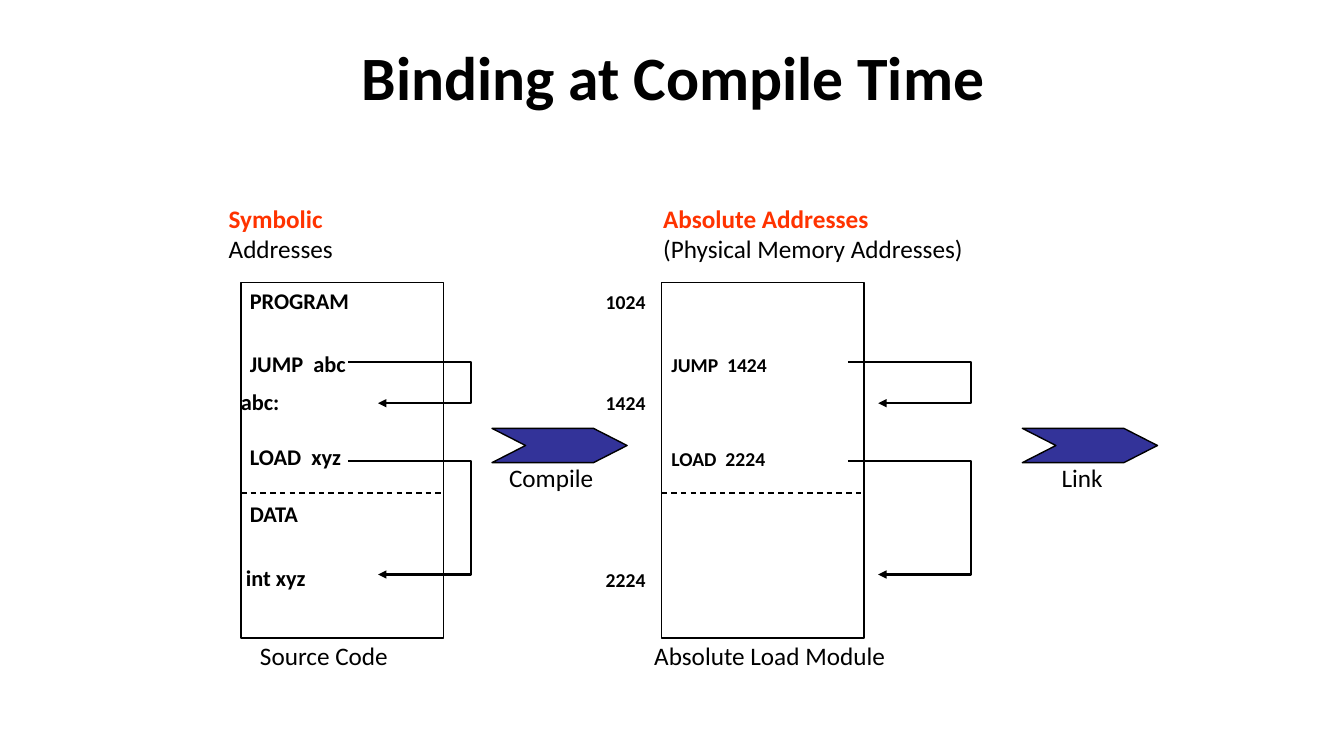
import pptx
import pptx.util
import pptx.dml.color
import pptx.enum.dml
import pptx.enum.shapes
import pptx.enum.text
import pptx.oxml.ns
import pptx.oxml.xmlchemy

Inches = pptx.util.Inches
Shape = pptx.enum.shapes.MSO_SHAPE
HUES = {"ink": "000000", "key": "FF3300", "step": "333399"}


class Board:
    """Holds the text style and the slide, and draws each kind of element."""

    font = "Calibri"

    def __init__(self, slide):
        self.slide = slide
        self.shapes = slide.shapes

    def hue(self, name):
        return pptx.dml.color.RGBColor.from_string(HUES[name])

    def run(self, para, text, size, bold=False, hue="ink"):
        run = para.add_run()
        run.text = text
        run.font.name = self.font
        run.font.size = pptx.util.Pt(size)
        run.font.bold = bold
        run.font.color.rgb = self.hue(hue)

    def title(self, text):
        box = self.shapes.title
        box.left, box.top = Inches(0.68), Inches(0.13)
        box.width, box.height = Inches(12), Inches(1.25)
        box.text_frame.vertical_anchor = pptx.enum.text.MSO_ANCHOR.MIDDLE
        para = box.text_frame.paragraphs[0]
        para.alignment = pptx.enum.text.PP_ALIGN.CENTER
        self.run(para, text, 44, True)

    def label(self, x, y, wide, text, size, bold=False, note=None):
        high = 0.71 if note else 0.09 + size * 0.017
        box = self.shapes.add_textbox(Inches(x), Inches(y), Inches(wide), Inches(high))
        frame = box.text_frame
        frame.word_wrap = False
        frame.auto_size = pptx.enum.text.MSO_AUTO_SIZE.SHAPE_TO_FIT_TEXT
        para = frame.paragraphs[0]
        self.run(para, text, size, bold, "key" if note else "ink")
        if note:
            para.add_line_break()
            self.run(para, note, size)

    def pen(self, item, width):
        item.line.color.rgb = self.hue("ink")
        item.line.width = pptx.util.Pt(width)

    def block(self, kind, x, y, wide, high, fill=None):
        item = self.shapes.add_shape(kind, Inches(x), Inches(y), Inches(wide), Inches(high))
        item.shadow.inherit = False
        if fill:
            item.fill.solid()
            item.fill.fore_color.rgb = self.hue(fill)
        else:
            item.fill.background()
        self.pen(item, 1)
        return item

    def dash(self, x, y, wide):
        line = self.shapes.add_connector(
            pptx.enum.shapes.MSO_CONNECTOR.STRAIGHT,
            Inches(x), Inches(y), Inches(x + wide), Inches(y))
        self.pen(line, 1)
        line.line.dash_style = pptx.enum.dml.MSO_LINE.DASH
        line._element.spPr.append(pptx.oxml.xmlchemy.OxmlElement("a:effectLst"))

    def hook(self, x, top, low):
        trace = self.shapes.build_freeform(Inches(x), Inches(top))
        turns = [(x + 1.22, top), (x + 1.22, low), (x + 0.3, low)]
        trace.add_line_segments([(Inches(a), Inches(b)) for a, b in turns], close=False)
        item = trace.convert_to_shape()
        item.shadow.inherit = False
        item.fill.background()
        self.pen(item, 1.5)
        tip = pptx.oxml.xmlchemy.OxmlElement("a:tailEnd")
        tip.set("type", "triangle")
        item._element.spPr.find(pptx.oxml.ns.qn("a:ln")).append(tip)

    def module(self, x, bend):
        self.block(Shape.RECTANGLE, x, 2.8, 2.01, 3.53)
        self.dash(x, 4.89, 2.01)
        self.hook(bend, 3.59, 4)
        self.hook(bend, 4.57, 5.7)

    def step(self, x, left, wide, text):
        item = self.block(Shape.CHEVRON, x, 4.25, 1.34, 0.34, "step")
        item.adjustments[0] = 0.98
        self.label(left, 4.54, wide, text, 18)


def main():
    deck = pptx.Presentation()
    deck.slide_width, deck.slide_height = Inches(13.33), Inches(7.5)
    board = Board(deck.slides.add_slide(deck.slide_layouts[5]))
    board.title("Binding at Compile Time")

    board.module(2.39, 3.45)
    board.label(2.17, 1.97, 1.24, "Symbolic", 18, True, "Addresses")
    for x, y, wide, text in [
        (2.38, 2.8, 1.2, "PROGRAM"),
        (2.38, 3.42, 1.17, "JUMP  abc"),
        (2.29, 3.8, 0.59, "abc:"),
        (2.38, 4.35, 1.12, "LOAD  xyz"),
        (2.38, 4.91, 0.69, "DATA"),
        (2.34, 5.55, 0.81, "int xyz"),
    ]:
        board.label(x, y, wide, text, 16, True)
    board.label(2.48, 6.3, 1.49, "Source Code", 18)

    board.module(6.56, 8.41)
    board.label(6.48, 1.97, 3.2, "Absolute Addresses", 18, True,
                "(Physical Memory Addresses)")
    for y, text in [(2.83, "1024"), (3.83, "1424"), (5.58, "2224")]:
        board.label(5.91, y, 0.6, text, 14, True)
    for y, text in [(3.45, "JUMP  1424"), (4.38, "LOAD  2224")]:
        board.label(6.56, y, 1.15, text, 14, True)
    board.label(6.39, 6.3, 2.52, "Absolute Load Module", 18)

    board.step(4.88, 4.95, 1.05, "Compile")
    board.step(10.14, 10.43, 0.61, "Link")
    deck.save("out.pptx")


if __name__ == "__main__":
    main()
